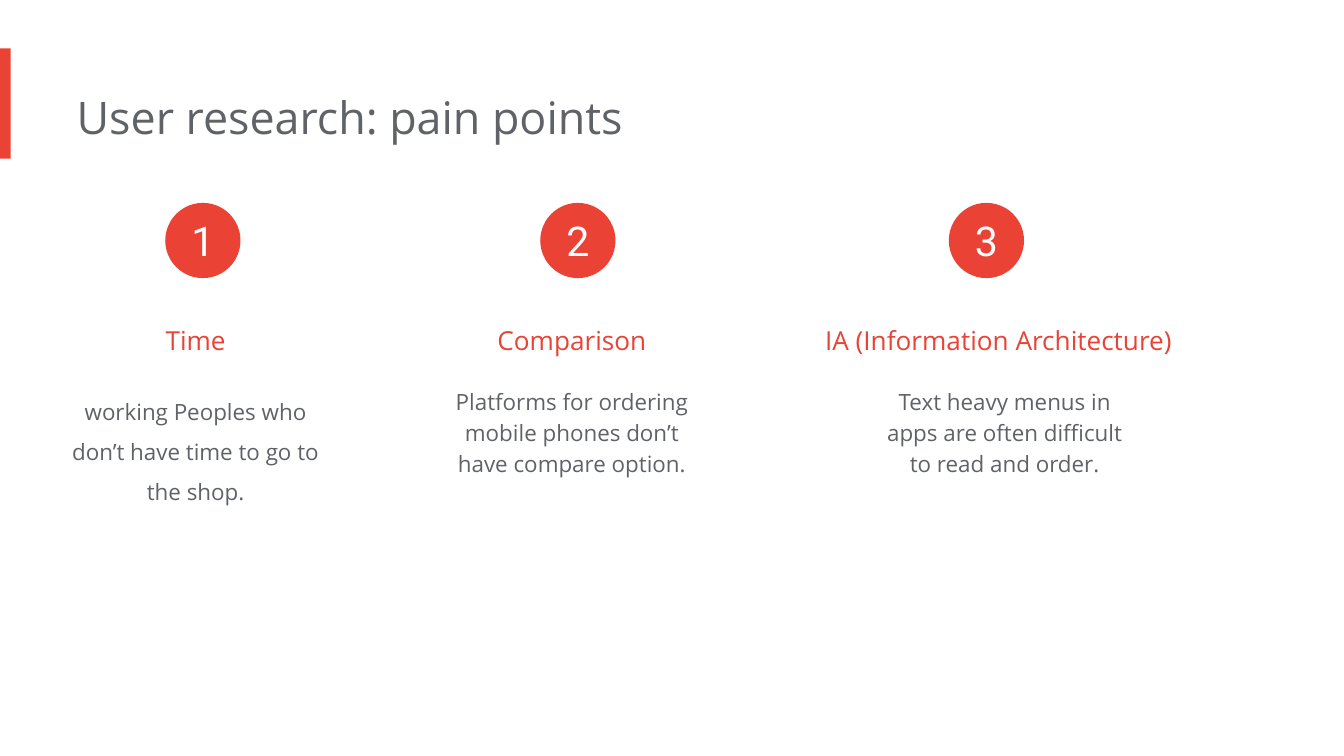
from pptx import Presentation
from pptx.dml.color import RGBColor
from pptx.enum.shapes import MSO_SHAPE as Shape
from pptx.enum.text import MSO_ANCHOR as Anchor, MSO_AUTO_SIZE as AutoSize, PP_ALIGN as Align
from pptx.util import Inches, Pt

COLORS = {"red": "EA4335", "gray": "5F6368", "white": "FFFFFF"}
COLUMN_W = 2.05
CIRCLE = 0.56

PAIN_POINTS = [
    {"circle": 1.23, "heading_box": (0.48, 2.2, COLUMN_W, 0.44), "heading": "Time",
     "body_box": (0.48, 2.76, COLUMN_W, 1.01), "spacing": 1.5,
     "body": "working Peoples who don’t have time to go to the shop."},
    {"circle": 4.02, "heading_box": (3.28, 2.2, COLUMN_W, 0.44), "heading": "Comparison",
     "body_box": (3.28, 2.76, COLUMN_W, 0.87), "spacing": 1.15,
     "body": "Platforms for ordering mobile phones don’t have compare option."},
    {"circle": 7.06, "heading_box": (6.07, 2.2, 2.82, 0.44),
     "heading": "IA (Information Architecture)",
     "body_box": (6.5, 2.76, COLUMN_W, 0.87), "spacing": 1.15,
     "body": "Text heavy menus in apps are often difficult to read and order."},
]


def rgb(name):
    return RGBColor.from_string(COLORS[name])


def set_text(sp, text, size, color, font="Open Sans", align=Align.CENTER, spacing=1.0):
    tf = sp.text_frame
    tf.text = text
    p = tf.paragraphs[0]
    p.alignment = align
    p.line_spacing = spacing
    r = p.runs[0]
    r.font.size = Pt(size)
    r.font.name = font
    r.font.color.rgb = rgb(color)


def set_frame(tf):
    tf.word_wrap = True
    tf.auto_size = AutoSize.SHAPE_TO_FIT_TEXT
    tf.vertical_anchor = Anchor.TOP
    tf.margin_left = 0
    tf.margin_top = tf.margin_right = tf.margin_bottom = Inches(0.1)


def add_title(s, text):
    sp = s.shapes.title
    sp.left, sp.top, sp.width, sp.height = map(Inches, (0.57, 0.57, 6.73, 0.61))
    set_frame(sp.text_frame)
    set_text(sp, text, 24, "gray", align=Align.LEFT)


def add_text(s, box, text, size, color, spacing):
    sp = s.shapes.add_textbox(*map(Inches, box))
    set_frame(sp.text_frame)
    set_text(sp, text, size, color, spacing=spacing)


def add_red_shape(s, kind, box):
    sp = s.shapes.add_shape(kind, *map(Inches, box))
    sp.shadow.inherit = False
    sp.fill.solid()
    sp.fill.fore_color.rgb = rgb("red")
    sp.line.fill.background()
    return sp


def add_number(s, left, number):
    sp = add_red_shape(s, Shape.OVAL, (left, 1.51, CIRCLE, CIRCLE))
    tf = sp.text_frame
    tf.margin_left = tf.margin_top = tf.margin_right = tf.margin_bottom = 0
    tf.vertical_anchor = Anchor.MIDDLE
    set_text(sp, str(number), 22, "white", font="Roboto")


def add_pain_point(s, number, point):
    add_text(s, point["heading_box"], point["heading"], 14, "red", 1.5)
    add_text(s, point["body_box"], point["body"], 12, "gray", point["spacing"])
    add_number(s, point["circle"], number)


def main():
    prs = Presentation()
    prs.slide_width = Inches(10)
    prs.slide_height = prs.slide_width * 9 // 16
    s = prs.slides.add_slide(prs.slide_layouts[5])
    add_red_shape(s, Shape.RECTANGLE, (0, 0.36, 0.08, 0.82))
    add_title(s, "User research: pain points")
    for number, point in enumerate(PAIN_POINTS, 1):
        add_pain_point(s, number, point)
    prs.save("out.pptx")


if __name__ == "__main__":
    main()
